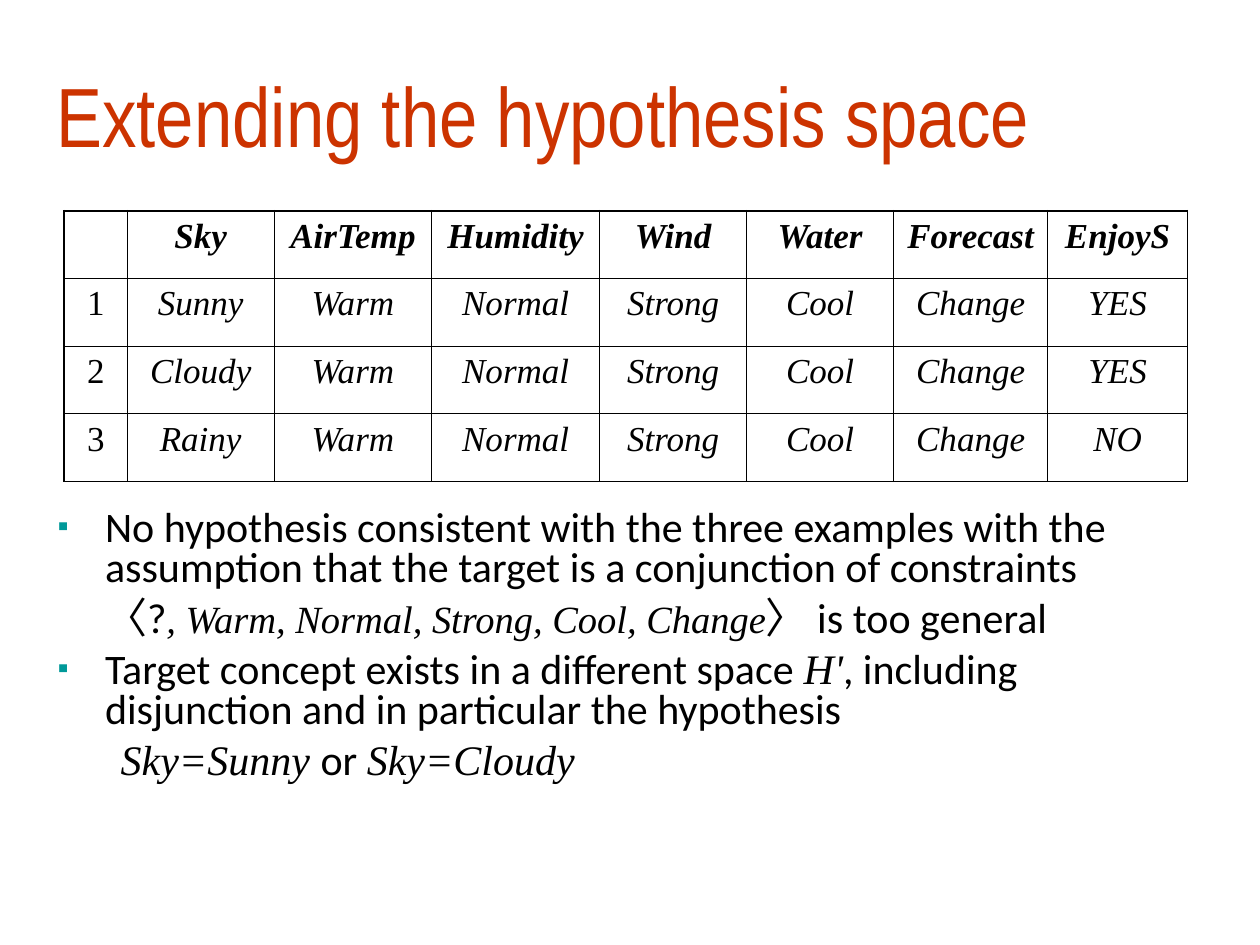
import pptx
import pptx.dml.color
import pptx.enum.text
import pptx.oxml
import pptx.oxml.ns
import pptx.util

Pt = pptx.util.Pt
SERIF = "Times New Roman"
NAMESPACE = pptx.oxml.ns.nsdecls("a")


def color(value):
    return pptx.dml.color.RGBColor.from_string(value)


def add_run(paragraph, text, **formats):
    run = paragraph.add_run()
    run.text = text
    run.font.color.rgb = color(formats.pop("fill", "000000"))
    for name, value in formats.items():
        setattr(run.font, name, value)


presentation = pptx.Presentation()
presentation.slide_width = Pt(720)
presentation.slide_height = Pt(540)
slide = presentation.slides.add_slide(presentation.slide_layouts[6])

title = slide.shapes.add_textbox(Pt(25.2), Pt(31.7), Pt(680.4), Pt(65.5)).text_frame
title.word_wrap = True
title.vertical_anchor = pptx.enum.text.MSO_ANCHOR.BOTTOM
add_run(title.paragraphs[0], "Extending the hypothesis space",
        name="Arial Narrow", size=Pt(48), fill="CC3300")

body = slide.shapes.add_textbox(Pt(25.9), Pt(288), Pt(646.6), Pt(188.6)).text_frame
body.word_wrap = True
sans = {"name": "Calibri", "size": Pt(24)}
italic = {"name": SERIF, "size": Pt(24), "italic": True}
bracket = {"name": "Arial", "size": Pt(24)}
body_paragraphs = [
    (27, True, [("No hypothesis consistent with the three examples with the assumption "
                 "that the target is a conjunction of constraints", sans)]),
    (27, False, [("〈", bracket), ("?", sans),
                 (", Warm, Normal, Strong, Cool, Change", {**italic, "size": Pt(22)}),
                 ("〉", bracket), (" is too general", sans)]),
    (27, True, [("Target concept exists in a different space ", sans), ("H'", italic),
                (", including disjunction and in particular the hypothesis", sans)]),
    (36, False, [("Sky=Sunny ", italic), ("or ", sans), ("Sky=Cloudy", italic)]),
]
for index, (margin, bulleted, runs) in enumerate(body_paragraphs):
    paragraph = body.add_paragraph() if index else body.paragraphs[0]
    paragraph.line_spacing = 0.8
    paragraph.space_before = Pt(6 if index else 0)
    properties = paragraph._p.get_or_add_pPr()
    properties.set("marL", str(Pt(margin)))
    properties.set("indent", str(Pt(-margin if bulleted else 0)))
    if bulleted:
        for element in ('<a:buClr {}><a:srgbClr val="009999"/></a:buClr>',
                        '<a:buSzPct {} val="75000"/>',
                        '<a:buFont {} typeface="Arial"/>',
                        '<a:buChar {} char="▪"/>'):
            properties.append(pptx.oxml.parse_xml(element.format(NAMESPACE)))
    for text, formats in runs:
        add_run(paragraph, text, **formats)

rows = [
    ["", "Sky", "AirTemp", "Humidity", "Wind", "Water", "Forecast", "EnjoyS"],
    ["1", "Sunny", "Warm", "Normal", "Strong", "Cool", "Change", "YES"],
    ["2", "Cloudy", "Warm", "Normal", "Strong", "Cool", "Change", "YES"],
    ["3", "Rainy", "Warm", "Normal", "Strong", "Cool", "Change", "NO"],
]
column_widths = [36, 84, 90, 96, 84, 84, 88, 80]
row_height = 38.7
last_row, last_column = len(rows) - 1, len(column_widths) - 1
table = slide.shapes.add_table(len(rows), len(column_widths), Pt(36.7), Pt(120.4),
                               Pt(sum(column_widths)), Pt(row_height * len(rows))).table
for column, width in zip(table.columns, column_widths):
    column.width = Pt(width)
for row_index, values in enumerate(rows):
    table.rows[row_index].height = Pt(row_height)
    for column_index, value in enumerate(values):
        cell = table.cell(row_index, column_index)
        cell.fill.background()
        outer_edges = {"L": column_index == 0, "R": column_index == last_column,
                       "T": row_index == 0, "B": row_index == last_row}
        for position, (side, outer) in enumerate(outer_edges.items()):
            line_width = Pt(1.08 if outer else 0.45)
            cell._tc.get_or_add_tcPr().insert(position, pptx.oxml.parse_xml(
                f'<a:ln{side} {NAMESPACE} w="{line_width}"><a:solidFill>'
                f'<a:srgbClr val="000000"/></a:solidFill></a:ln{side}>'))
        if value:
            paragraph = cell.text_frame.paragraphs[0]
            paragraph.alignment = pptx.enum.text.PP_ALIGN.CENTER
            add_run(paragraph, value, name=SERIF, size=Pt(20),
                    bold=row_index == 0, italic=column_index > 0)

presentation.save("out.pptx")
